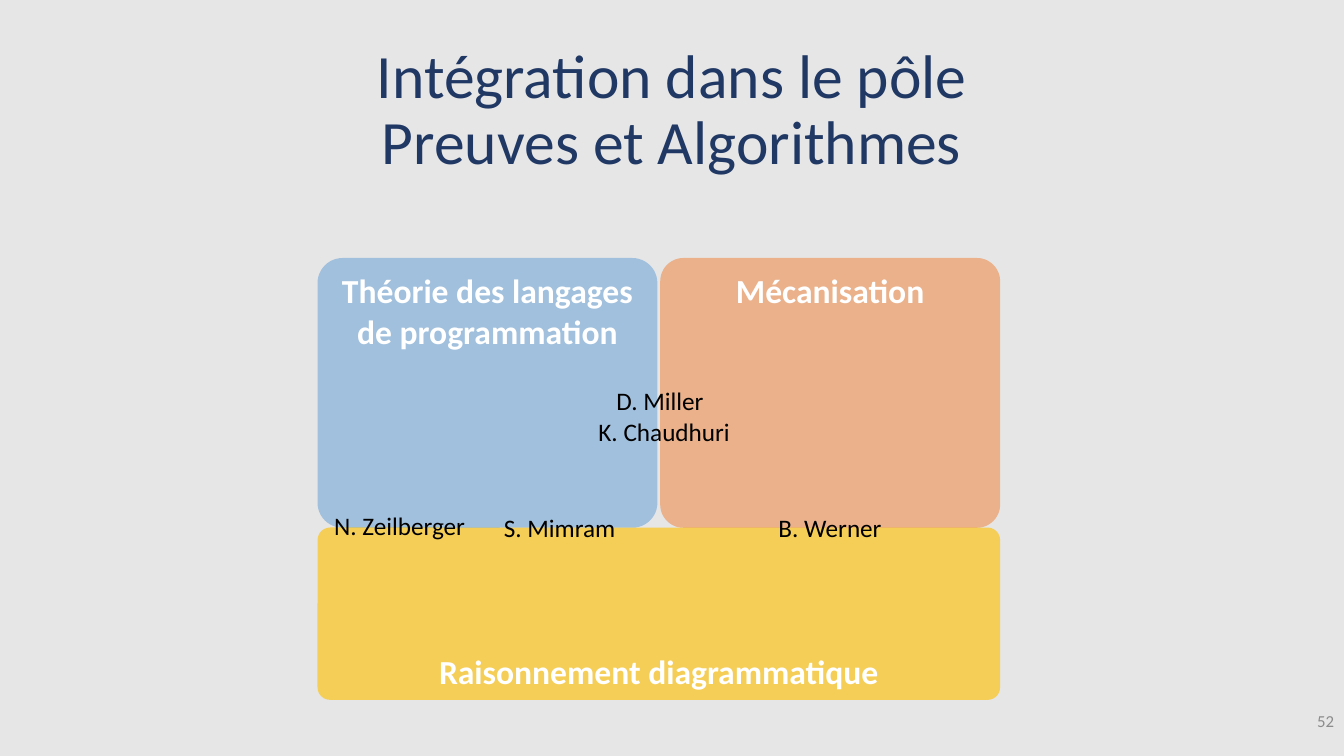
from dataclasses import dataclass

from lxml import etree
from pptx import Presentation
from pptx.dml.color import RGBColor
from pptx.enum.shapes import MSO_SHAPE
from pptx.enum.text import MSO_ANCHOR, PP_ALIGN
from pptx.oxml.ns import qn
from pptx.util import Pt

ROUNDED = MSO_SHAPE.ROUNDED_RECTANGLE
TOP, MIDDLE, BOTTOM = MSO_ANCHOR.TOP, MSO_ANCHOR.MIDDLE, MSO_ANCHOR.BOTTOM
CENTER, RIGHT = PP_ALIGN.CENTER, PP_ALIGN.RIGHT

FONT = "Calibri"
COLORS = {
    "background": "E7E6E6",
    "title": "203864",
    "number": "8C8C8C",
    "name": "000000",
    "theme": "FFFFFF",
    "languages": "5B9BD5",
    "mechanisation": "ED7D31",
    "diagrams": "FFC000",
}


@dataclass
class Box:
    left: float
    top: float
    width: float
    height: float


@dataclass
class Style:
    size: float
    color: str
    bold: bool = False
    align: PP_ALIGN = CENTER
    anchor: MSO_ANCHOR = TOP
    line_spacing: float = 1.0


@dataclass
class Theme:
    lines: list[str]
    box: Box
    color: str
    opacity: int
    corner: float
    anchor: MSO_ANCHOR = TOP


@dataclass
class Label:
    text: str
    box: Box
    style: Style


def write(shape, lines: list[str], style: Style) -> None:
    """Write one paragraph per line; a newline inside a line is a soft break."""
    frame = shape.text_frame
    frame.word_wrap = True
    frame.vertical_anchor = style.anchor
    for index, line in enumerate(lines):
        paragraph = frame.add_paragraph() if index else frame.paragraphs[0]
        paragraph.alignment = style.align
        paragraph.line_spacing = style.line_spacing
        for part_index, part in enumerate(line.split("\n")):
            if part_index:
                paragraph.add_line_break()
            run = paragraph.add_run()
            run.text = part
            run.font.name = FONT
            run.font.size = Pt(style.size)
            run.font.bold = style.bold
            run.font.color.rgb = RGBColor.from_string(COLORS[style.color])


def place(box: Box) -> tuple:
    return Pt(box.left), Pt(box.top), Pt(box.width), Pt(box.height)


def draw_theme(slide, theme: Theme) -> None:
    shape = slide.shapes.add_shape(ROUNDED, *place(theme.box))
    shape.adjustments[0] = theme.corner
    shape.shadow.inherit = False
    shape.line.fill.background()
    shape.fill.solid()
    shape.fill.fore_color.rgb = RGBColor.from_string(COLORS[theme.color])
    color_element = shape.fill._xPr.find(qn("a:solidFill"))[0]
    alpha = etree.SubElement(color_element, qn("a:alpha"))
    alpha.set("val", str(theme.opacity * 1000))
    write(shape, theme.lines, Style(24, "theme", bold=True, anchor=theme.anchor))


def draw_label(slide, label: Label) -> None:
    write(slide.shapes.add_textbox(*place(label.box)), [label.text], label.style)


# Layout of the three themes: two blocks side by side above a wide one
LEFT, UPPER, LOWER = 226.8, 184.3, 376.8
BLOCK_WIDTH, BLOCK_HEIGHT, GAP = 242.8, 192.7, 2
THEMES = [
    Theme(["Théorie des langages", "de programmation"],
          Box(LEFT, UPPER, BLOCK_WIDTH, BLOCK_HEIGHT), "languages", 50, 0.093),
    Theme(["Mécanisation"],
          Box(LEFT + BLOCK_WIDTH + GAP, UPPER, BLOCK_WIDTH, BLOCK_HEIGHT),
          "mechanisation", 50, 0.086),
    Theme(["Raisonnement diagrammatique"],
          Box(LEFT, LOWER, 2 * BLOCK_WIDTH + GAP, 123.1),
          "diagrams", 62, 0.073, BOTTOM),
]

# Title, page number and people
NAME = Style(18, "name")
HEADINGS = [
    Label("52", Box(744, 500.5, 216, 28.8),
          Style(12, "number", align=RIGHT, anchor=MIDDLE)),
    Label("Intégration dans le pôle\nPreuves et Algorithmes",
          Box(66, 27.4, 828, 104.4),
          Style(44, "title", anchor=MIDDLE, line_spacing=0.9)),
]
PEOPLE = [
    Label("D. Miller", Box(401.6, 271.7, 139.7, 29), NAME),
    Label("B. Werner", Box(522.7, 362.3, 140.4, 29), NAME),
    Label("K. Chaudhuri", Box(399.5, 293.9, 149.8, 29), NAME),
    Label("S. Mimram", Box(333.8, 362.3, 131.8, 29), NAME),
    Label("N. Zeilberger", Box(219.6, 361.3, 131.8, 29), NAME),
]


def main() -> None:
    presentation = Presentation()
    presentation.slide_width, presentation.slide_height = Pt(960), Pt(540)
    slide = presentation.slides.add_slide(presentation.slide_layouts[6])
    background = slide.background.fill
    background.solid()
    background.fore_color.rgb = RGBColor.from_string(COLORS["background"])

    for theme in THEMES:
        draw_theme(slide, theme)
    for label in HEADINGS + PEOPLE:
        draw_label(slide, label)
    presentation.save("out.pptx")


if __name__ == "__main__":
    main()
